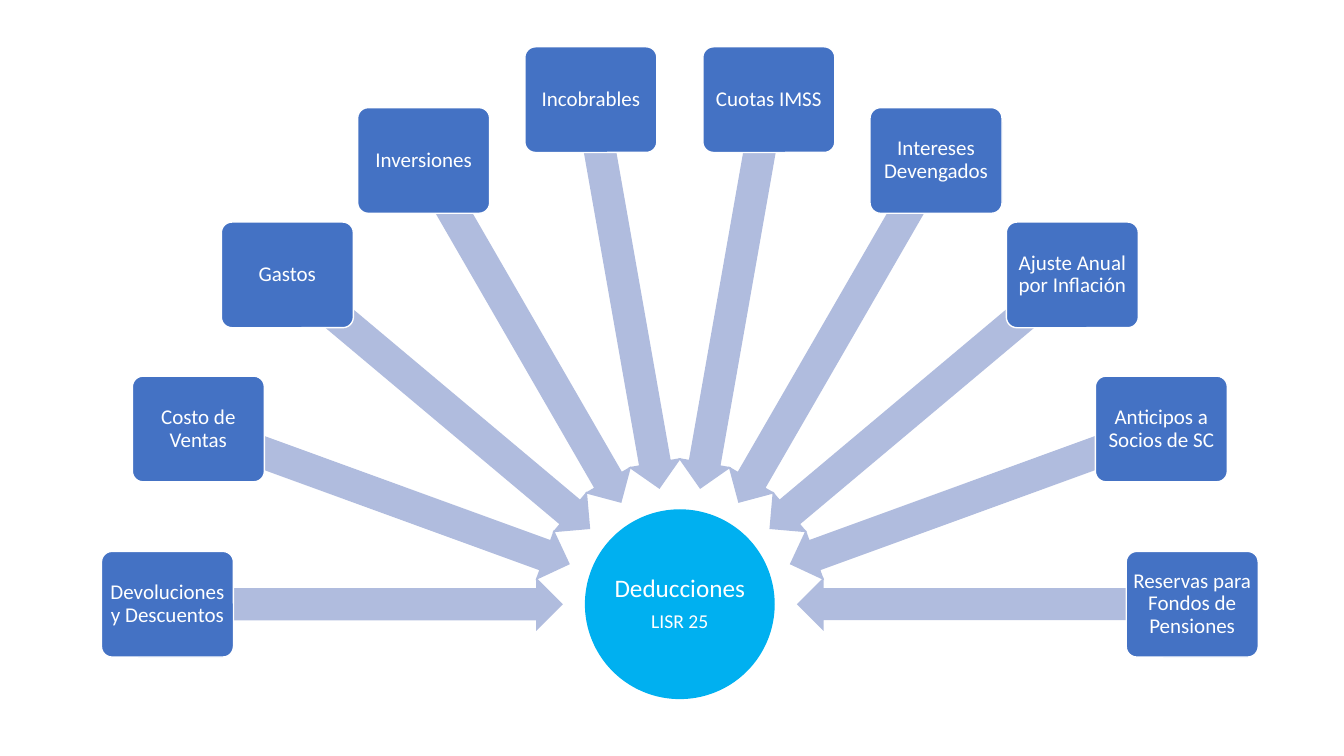
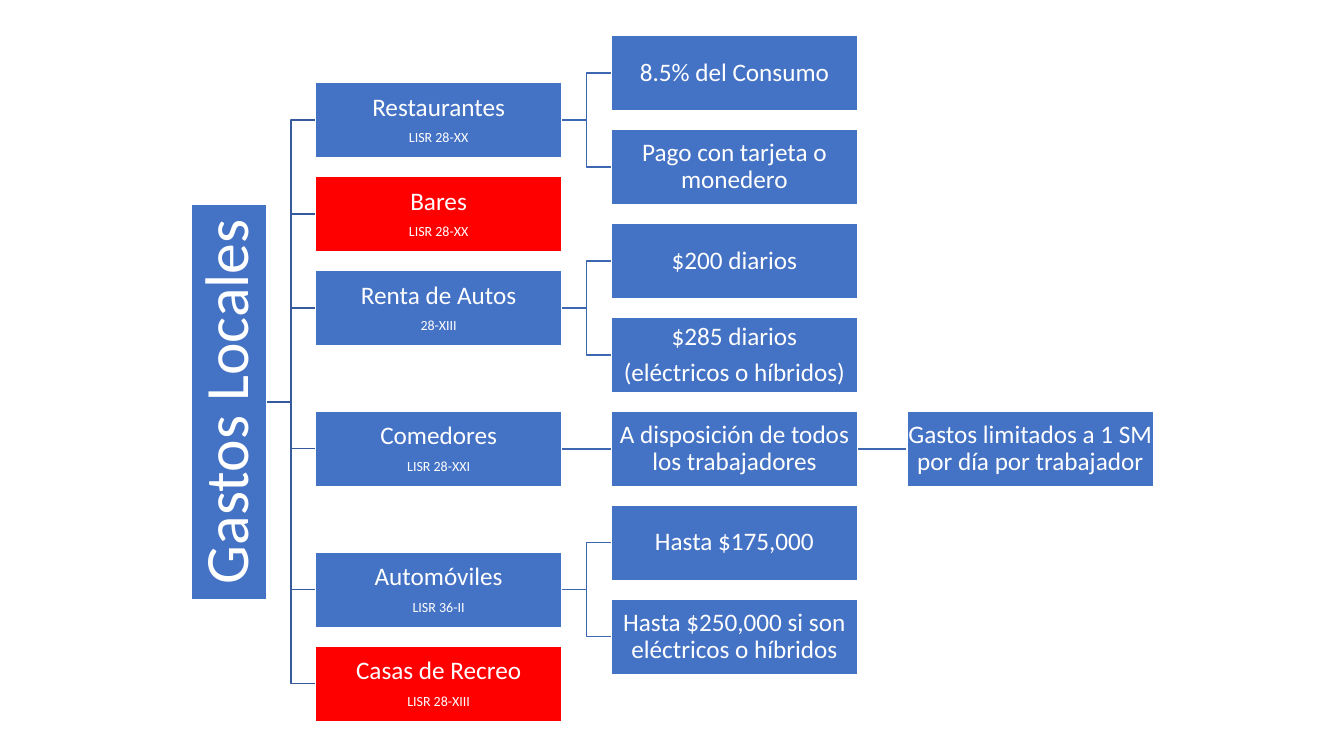
from dataclasses import dataclass
from math import cos, radians, sin

from lxml.etree import SubElement
from pptx import Presentation
from pptx.dml.color import RGBColor
from pptx.enum.shapes import MSO_CONNECTOR as Connector, MSO_SHAPE as Shape
from pptx.enum.text import MSO_ANCHOR as Anchor, PP_ALIGN as Align
from pptx.oxml.ns import qn
from pptx.util import Pt

BLUE = RGBColor(0x44, 0x72, 0xC4)
SKY = RGBColor(0x00, 0xB0, 0xF0)
RED = RGBColor(0xFF, 0x00, 0x00)
PALE = RGBColor(0xB0, 0xBC, 0xDE)
WHITE = RGBColor(0xFF, 0xFF, 0xFF)
DARK_LINK = RGBColor(0x36, 0x5B, 0x9D)
LINK = RGBColor(0x3E, 0x67, 0xB2)
FONT = "Calibri"

HUB_X, HUB_Y, HUB_SIZE = 485.6, 431.6, 134.6
CARD_RADIUS, CARD_WIDTH, CARD_HEIGHT = 366, 94.3, 75.5
ARROW_RADIUS, ARROW_LENGTH, ARROW_HEIGHT = 224.7, 282.2, 38.2
DEDUCTIONS = [
    "Devoluciones y Descuentos", "Costo de Ventas", "Gastos",
    "Inversiones", "Incobrables", "Cuotas IMSS", "Intereses Devengados",
    "Ajuste Anual por Inflación", "Anticipos a Socios de SC",
    "Reservas para Fondos de Pensiones",
]

ROOT_X, ROOT_LENGTH = 163.4, 282.2
FIRST_COLUMN, COLUMN_PITCH = 313.3, 211.3
FIRST_ROW, ROW_PITCH = 52.2, 67.1
NODE_WIDTH, NODE_HEIGHT = 176, 53.7


@dataclass
class Node:
    row: float
    lines: list
    children: tuple = ()
    fill: RGBColor = BLUE


EXPENSES = Node(3.5, [("Gastos Locales", 44)], (
    Node(0.5, [("Restaurantes", 18), ("LISR 28-XX", 10)], (
        Node(0, [("8.5% del Consumo", 18)]),
        Node(1, [("Pago con tarjeta o monedero", 18)]),
    )),
    Node(1.5, [("Bares", 18), ("LISR 28-XX", 10)], fill=RED),
    Node(2.5, [("Renta de Autos", 18), ("28-XIII", 10)], (
        Node(2, [("$200 diarios", 18)]),
        Node(3, [("$285 diarios", 18), ("(eléctricos o híbridos)", 18)]),
    )),
    Node(4, [("Comedores", 18), ("LISR 28-XXI", 10)], (
        Node(4, [("A disposición de todos los trabajadores", 18)], (
            Node(4, [("Gastos limitados a 1 SM por día por trabajador", 18)]),
        )),
    )),
    Node(5.5, [("Automóviles", 18), ("LISR 36-II", 10)], (
        Node(5, [("Hasta $175,000", 18)]),
        Node(6, [("Hasta $250,000 si son eléctricos o híbridos", 18)]),
    )),
    Node(6.5, [("Casas de Recreo", 18), ("LISR 28-XIII", 10)], fill=RED),
))


def add_centered_shape(slide, kind, x, y, width, height, fill, line=None):
    shape = slide.shapes.add_shape(
        kind, Pt(x - width / 2), Pt(y - height / 2), Pt(width), Pt(height))
    shape.shadow.inherit = False
    shape.fill.solid()
    shape.fill.fore_color.rgb = fill
    if line is None:
        shape.line.fill.background()
    else:
        shape.line.color.rgb = line
        shape.line.width = Pt(1)
    return shape


def write_lines(shape, lines, margin):
    frame = shape.text_frame
    frame.word_wrap = True
    frame.vertical_anchor = Anchor.MIDDLE
    frame.margin_left = frame.margin_right = Pt(margin)
    frame.margin_top = frame.margin_bottom = Pt(margin)
    frame.text = "\n".join(text for text, _ in lines)
    for paragraph, (_, size) in zip(frame.paragraphs, lines):
        paragraph.alignment = Align.CENTER
        paragraph.line_spacing = 0.9
        paragraph.space_after = Pt(round(size * 0.35, 1))
        font = paragraph.runs[0].font
        font.name = FONT
        font.size = Pt(size)
        font.color.rgb = WHITE


def add_link(slide, start, end, color):
    kind = Connector.STRAIGHT if start[1] == end[1] else Connector.ELBOW
    link = slide.shapes.add_connector(kind, *map(Pt, start + end))
    link.line.color.rgb = color
    link.line.width = Pt(1)
    SubElement(link._element.spPr, qn("a:effectLst"))


def polar(radius, angle):
    return (HUB_X + radius * cos(radians(angle)),
            HUB_Y + radius * sin(radians(angle)))


def add_deduction(slide, text, angle):
    arrow = add_centered_shape(slide, Shape.LEFT_ARROW, *polar(ARROW_RADIUS, angle),
                               ARROW_LENGTH, ARROW_HEIGHT, PALE)
    arrow.adjustments[0] = 0.6
    arrow.adjustments[1] = 0.5
    arrow.rotation = angle
    card = add_centered_shape(slide, Shape.ROUNDED_RECTANGLE, *polar(CARD_RADIUS, angle),
                              CARD_WIDTH, CARD_HEIGHT, BLUE, WHITE)
    card.adjustments[0] = 0.1
    write_lines(card, [(text, 15)], 2.2)


def build_deductions(slide):
    hub = add_centered_shape(slide, Shape.OVAL, HUB_X, HUB_Y,
                             HUB_SIZE, HUB_SIZE, SKY, SKY)
    write_lines(hub, [("Deducciones", 18), ("LISR 25", 14)], 0.6)
    step = 180 / (len(DEDUCTIONS) - 1)
    for index, text in enumerate(DEDUCTIONS):
        add_deduction(slide, text, 180 + index * step)


def add_branch(slide, node, level=0):
    is_root = level == 0
    x = ROOT_X if is_root else FIRST_COLUMN + (level - 1) * COLUMN_PITCH
    y = FIRST_ROW + node.row * ROW_PITCH
    right = x + (NODE_HEIGHT if is_root else NODE_WIDTH) / 2
    child_left = FIRST_COLUMN + level * COLUMN_PITCH - NODE_WIDTH / 2
    for child in node.children:
        child_y = FIRST_ROW + child.row * ROW_PITCH
        add_link(slide, (right, y), (child_left, child_y),
                 DARK_LINK if is_root else LINK)
        add_branch(slide, child, level + 1)
    width = ROOT_LENGTH if is_root else NODE_WIDTH
    box = add_centered_shape(slide, Shape.RECTANGLE, x, y,
                             width, NODE_HEIGHT, node.fill, WHITE)
    write_lines(box, node.lines, 2.2 if is_root else 0.6)
    if is_root:
        box.rotation = 270


def main():
    presentation = Presentation()
    presentation.slide_width = Pt(960)
    presentation.slide_height = Pt(540)
    blank = presentation.slide_layouts[6]
    build_deductions(presentation.slides.add_slide(blank))
    add_branch(presentation.slides.add_slide(blank), EXPENSES)
    presentation.save("out.pptx")


if __name__ == "__main__":
    main()
